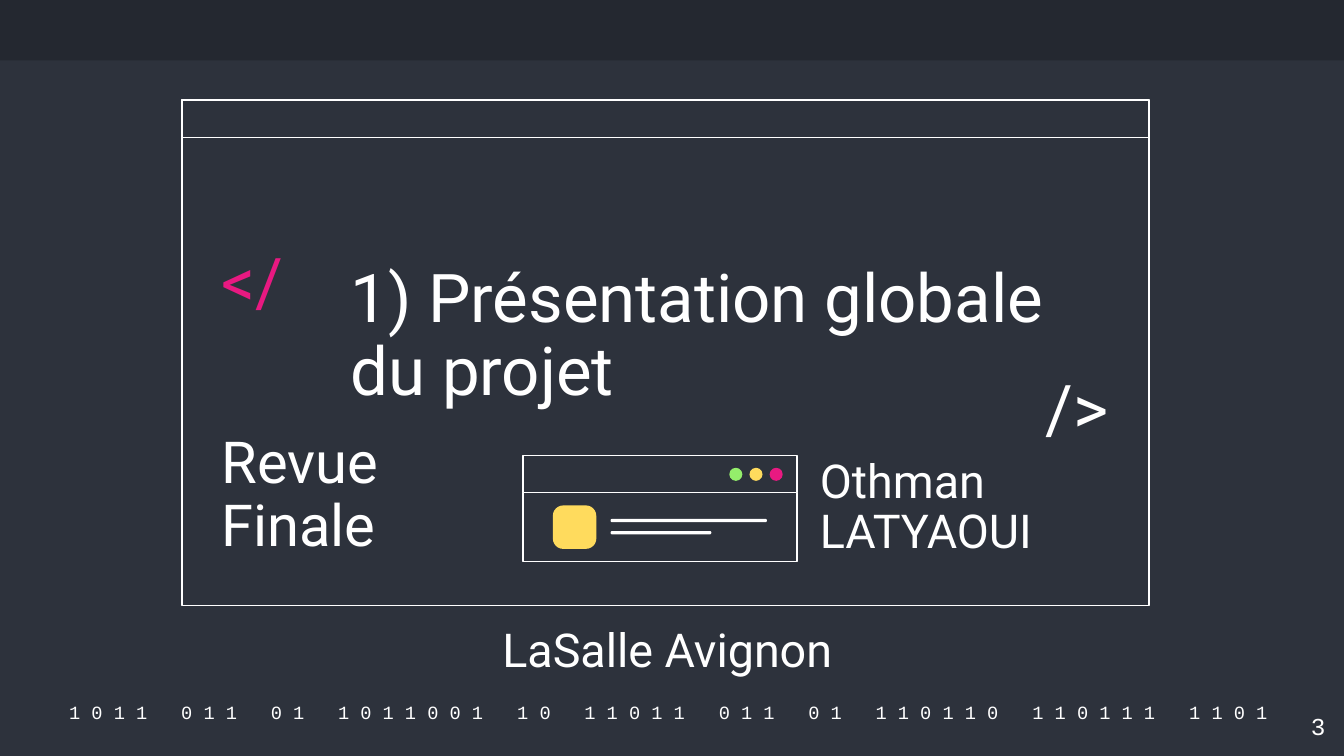
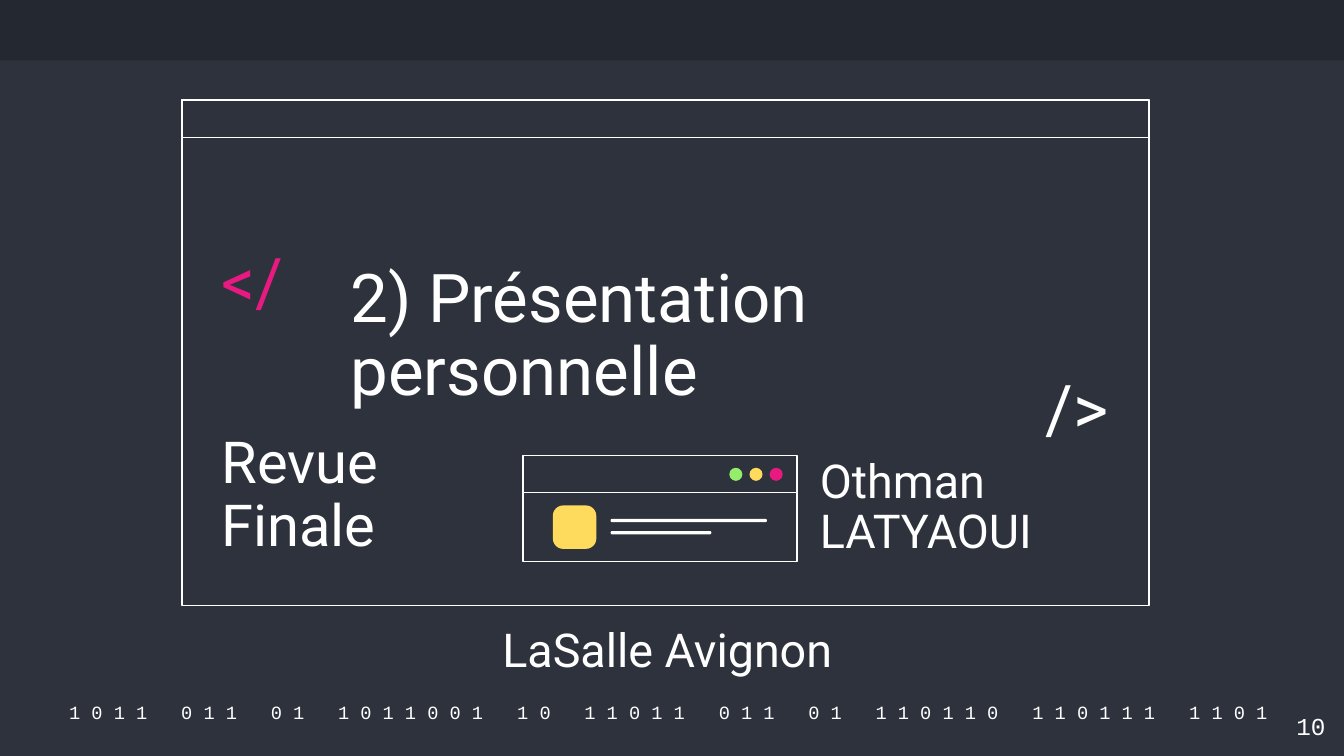
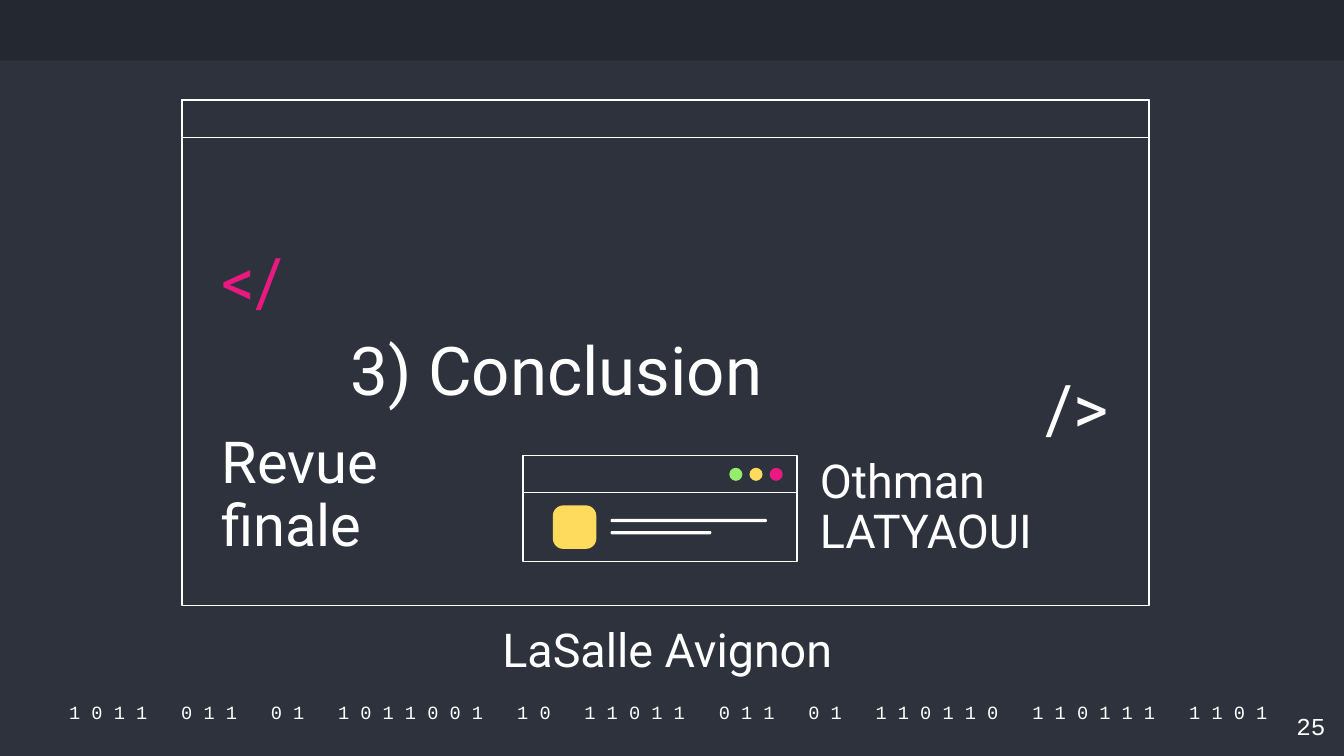
from itertools import accumulate

from lxml.etree import SubElement
from pptx import Presentation
from pptx.dml.color import RGBColor
from pptx.enum.shapes import MSO_SHAPE as Preset
from pptx.enum.text import MSO_ANCHOR as Anchor, PP_ALIGN as Align
from pptx.oxml.ns import qn
from pptx.util import Pt

COLORS = {
    "page": "2D323C",
    "band": "242830",
    "white": "FFFFFF",
    "pink": "E81981",
    "yellow": "FFDB5D",
    "green": "94EE6B",
}

SECTIONS = [
    ("1) Présentation globale du projet", "Revue Finale", "3"),
    ("2) Présentation personnelle", "Revue Finale", "10"),
    ("3) Conclusion", "Revue finale", "25"),
]

BINARY = ["1011", "011", "01", "1011001", "10", "11011",
          "011", "01", "110110", "110111", "1101"]
DIGIT_WIDTH = 6
BINARY_STOPS = list(accumulate((2 * len(group) + 2) * DIGIT_WIDTH for group in BINARY[:-1]))


def add_block(shapes, preset, left, top, width, height, fill, outlined=False):
    block = shapes.add_shape(preset, Pt(left), Pt(top), Pt(width), Pt(height))
    block.shadow.inherit = False
    block.fill.solid()
    block.fill.fore_color.rgb = RGBColor.from_string(COLORS[fill])
    if outlined:
        block.line.color.rgb = RGBColor.from_string(COLORS["white"])
        block.line.width = Pt(0.75)
    else:
        block.line.fill.background()
    return block


def add_label(page, text, left, top, width, height, size, anchor=Anchor.TOP,
              color="white", font="Roboto", align=Align.LEFT, spacing=0.9, inset=7.2):
    box = page.shapes.add_textbox(Pt(left), Pt(top), Pt(width), Pt(height))
    frame = box.text_frame
    frame.word_wrap = True
    frame.vertical_anchor = anchor
    frame.margin_left = Pt(inset)
    frame.margin_right = frame.margin_top = frame.margin_bottom = Pt(7.2)
    para = frame.paragraphs[0]
    para.alignment = align
    para.line_spacing = spacing
    span = para.add_run()
    span.text = text
    span.font.name = font
    span.font.size = Pt(size)
    span.font.color.rgb = RGBColor.from_string(COLORS[color])
    return para


deck = Presentation()
deck.slide_width = Pt(720)
deck.slide_height = Pt(405)
background = deck.slide_master.background.fill
background.solid()
background.fore_color.rgb = RGBColor.from_string(COLORS["page"])

for title, review, number in SECTIONS:
    page = deck.slides.add_slide(deck.slide_layouts[6])

    add_block(page.shapes, Preset.RECTANGLE, 0, 0, 720, 32.4, "band")
    digits = "\t".join(" ".join(group) for group in BINARY)
    binary_row = add_label(page, digits, 27.4, 374.4, 667.4, 14.4, 10, Anchor.MIDDLE,
                           font="Courier New", spacing=1.0, inset=9.7)
    tabs = SubElement(binary_row._p.get_or_add_pPr(), qn("a:tabLst"))
    for stop in BINARY_STOPS:
        SubElement(tabs, qn("a:tab"), pos=str(Pt(stop)), algn="l")

    window = page.shapes.add_group_shape().shapes
    for height in (270.8, 20.2):
        add_block(window, Preset.RECTANGLE, 97.5, 53.5, 518, height, "page", outlined=True)

    add_label(page, "</", 111.6, 128.9, 55.4, 47.5, 36, Anchor.MIDDLE, "pink")
    add_label(page, "/>", 553, 196.6, 55.4, 47.5, 36, Anchor.MIDDLE)
    add_label(page, title, 180.7, 120.2, 404.6, 106.6, 36, Anchor.BOTTOM)

    card = page.shapes.add_group_shape().shapes
    for top, height in ((264, 36.8), (244, 20)):
        add_block(card, Preset.RECTANGLE, 280.2, top, 146.8, height, "page", outlined=True)
    avatar = add_block(card, Preset.ROUNDED_RECTANGLE, 296.2, 270.8, 23.3, 23.3, "yellow")
    avatar.adjustments[0] = 0.24
    for top, width in ((278, 83.8), (284.5, 54)):
        text_line = add_block(card, Preset.ROUNDED_RECTANGLE, 327.1, top, width, 1.8, "white")
        text_line.adjustments[0] = 0.5
    for index, color in enumerate(("green", "yellow", "pink")):
        add_block(card, Preset.OVAL, 390.7 + 10.8 * index, 250.6, 7, 7, color)

    add_label(page, review, 111.6, 249.8, 175.7, 56.9, 31, Anchor.BOTTOM)
    add_label(page, "Othman LATYAOUI", 432.2, 249.8, 175.7, 56.9, 25, Anchor.BOTTOM)
    add_label(page, "LaSalle Avignon", 262.1, 329, 220.3, 33.8, 25)
    add_label(page, number, 673.9, 373.7, 43.2, 31, 13,
              font="Courier New", align=Align.RIGHT, spacing=1.0)

deck.save("out.pptx")
